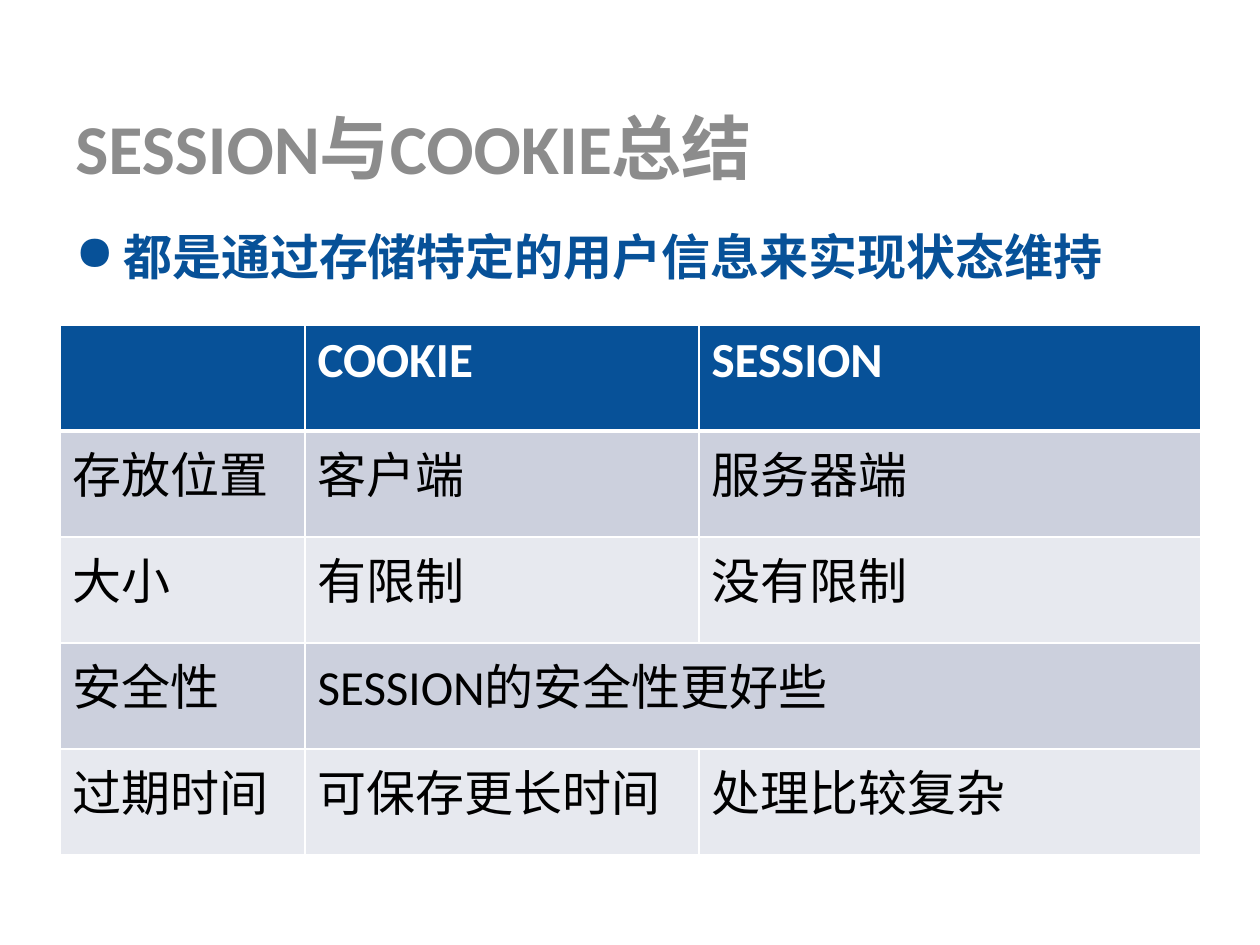
import pptx
import pptx.util
import pptx.dml.color
import pptx.enum.text
import pptx.oxml.ns
from lxml import etree

SCALE = 914400 / 126
LATIN = "Calibri"
CJK = "Noto Sans CJK SC"
BLUE = "075198"
WHITE = "FFFFFF"
BANDS = ["CCD0DD", "E7E9EF"]
COLS = [245, 394, 502]
ROW_HEIGHT = 106
ROWS = [
    ["", "COOKIE", "SESSION"],
    ["存放位置", "客户端", "服务器端"],
    ["大小", "有限制", "没有限制"],
    ["安全性", "SESSION的安全性更好些", ""],
    ["过期时间", "可保存更长时间", "处理比较复杂"],
]


def px(n):
    return round(n * SCALE)


def rgb(color):
    return pptx.dml.color.RGBColor.from_string(color)


def add_xml(parent, tag, **attrs):
    return etree.SubElement(parent, pptx.oxml.ns.qn(tag), attrs)


def set_text(p, text, size, color, bold):
    p.font.size = pptx.util.Pt(size)
    p.font.bold = bold
    p.font.color.rgb = rgb(color)
    p.font.name = LATIN
    if text:
        r = p.add_run()
        r.text = text
        add_xml(r._r.get_or_add_rPr(), "a:ea", typeface=CJK)


def add_text(s, box, text, size, color, anchor):
    sp = s.shapes.add_textbox(*map(px, box))
    tf = sp.text_frame
    tf.word_wrap = True
    tf.vertical_anchor = anchor
    p = tf.paragraphs[0]
    set_text(p, text, size, color, True)
    return p


def add_bullet(p, color, indent):
    pPr = p._p.get_or_add_pPr()
    pPr.set("marL", str(px(indent)))
    pPr.set("indent", str(px(-indent)))
    bullet = etree.Element(pptx.oxml.ns.qn("a:buClr"))
    add_xml(bullet, "a:srgbClr", val=color)
    char = etree.Element(pptx.oxml.ns.qn("a:buChar"), char="●")
    pPr.insert(0, bullet)
    pPr.insert(1, char)


def set_borders(cell, top, bottom):
    tcPr = cell._tc.get_or_add_tcPr()
    for side, width in zip("LRTB", [1, 1, top, bottom]):
        ln = add_xml(tcPr, f"a:ln{side}", w=str(pptx.util.Pt(width)))
        fill = add_xml(ln, "a:solidFill")
        add_xml(fill, "a:srgbClr", val=WHITE)


def add_comparison(s, left, top):
    size = (sum(COLS), ROW_HEIGHT * len(ROWS))
    table = s.shapes.add_table(len(ROWS), len(COLS), *map(px, (left, top, *size))).table
    for col, width in zip(table.columns, COLS):
        col.width = px(width)
    for i, row in enumerate(ROWS):
        table.rows[i].height = px(ROW_HEIGHT)
        header = i == 0
        for j, text in enumerate(row):
            cell = table.cell(i, j)
            set_borders(cell, 3 if i == 1 else 1, 3 if header else 1)
            cell.fill.solid()
            cell.fill.fore_color.rgb = rgb(BLUE if header else BANDS[(i - 1) % 2])
            color = WHITE if header else "000000"
            set_text(cell.text_frame.paragraphs[0], text, 28, color, header)
    table.cell(3, 1).merge(table.cell(3, 2))


def main():
    prs = pptx.Presentation()
    prs.slide_width, prs.slide_height = px(1260), px(945)
    s = prs.slides.add_slide(prs.slide_layouts[6])
    anchor = pptx.enum.text.MSO_ANCHOR
    add_text(s, (63, 98, 1134, 97), "SESSION与COOKIE总结", 40, "8C8C8C", anchor.MIDDLE)
    p = add_text(s, (63, 220, 1134, 624), "都是通过存储特定的用户信息来实现状态维持", 28, BLUE, anchor.TOP)
    add_bullet(p, BLUE, 48)
    add_comparison(s, 60, 325)
    prs.save("out.pptx")


if __name__ == "__main__":
    main()
